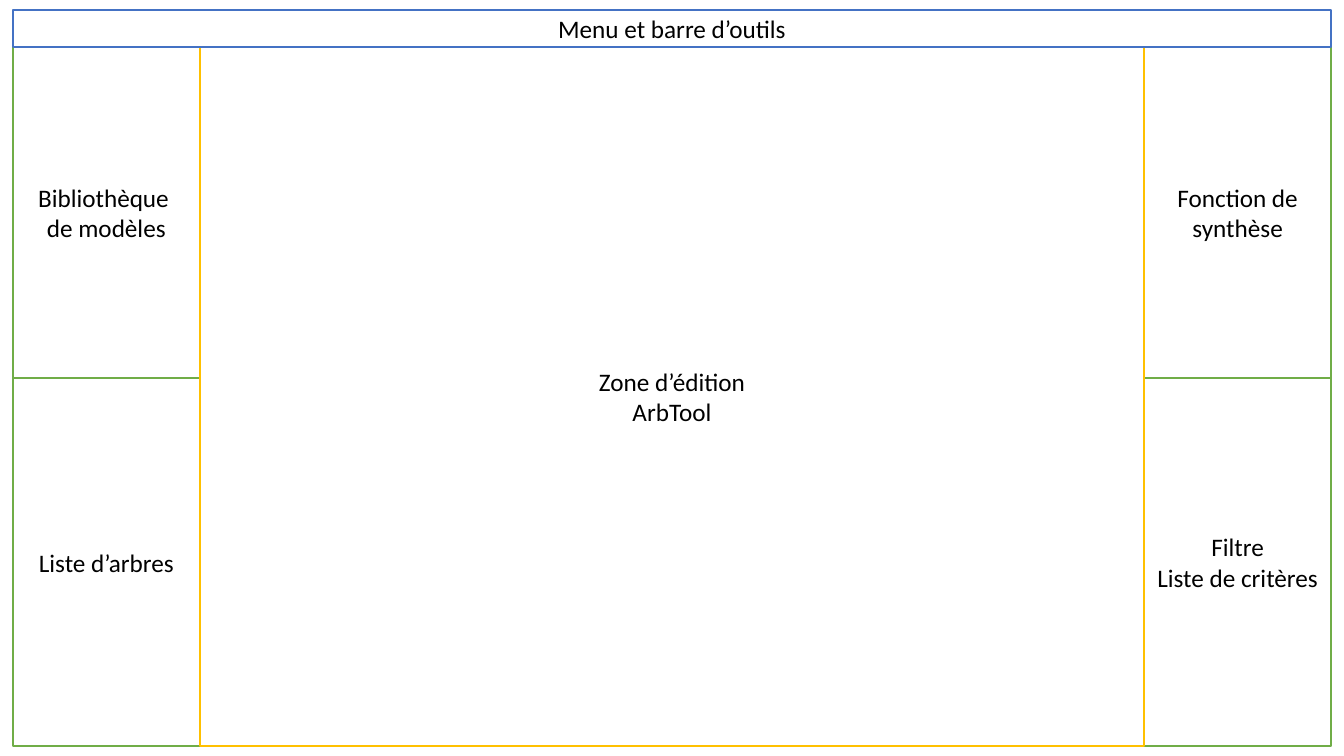
from dataclasses import dataclass

from pptx import Presentation
from pptx.dml.color import RGBColor as Rgb
from pptx.enum.shapes import MSO_SHAPE as Kind
from pptx.enum.text import MSO_ANCHOR as Anchor, PP_ALIGN as Align
from pptx.util import Inches, Pt


@dataclass(frozen=True)
class Theme:
    """Colours, type and line width of the slide."""
    paper: str = "FFFFFF"
    ink: str = "000000"
    menu: str = "4472C4"
    side: str = "70AD47"
    edit: str = "FFC000"
    font: str = "Calibri"
    size: int = 18
    line: float = 1.5


THEME = Theme()
WIDE, HIGH = 13.33, 7.5
EDGE, SIDE = 0.13, 1.85
# Grid lines, in inches: three columns and three rows
COLS = (EDGE, EDGE + SIDE, WIDE - EDGE - SIDE, WIDE - EDGE)
ROWS = (0.1, 0.47, 3.75, 7.4)


def format_all(item, values):
    """Set each attribute of item from a dict of format values."""
    for name, value in values.items():
        setattr(item, name, value)


def write(shape, text):
    """Write centred text, one paragraph for each line."""
    frame = shape.text_frame
    frame.text = text
    format_all(frame, {"word_wrap": True, "vertical_anchor": Anchor.MIDDLE})
    for para in frame.paragraphs:
        para.alignment = Align.CENTER
        for run in para.runs:
            format_all(run.font, {"name": THEME.font, "size": Pt(THEME.size)})
            run.font.color.rgb = Rgb.from_string(THEME.ink)


def add_pane(slide, cols, rows, hue, text):
    """Draw a pane between two column lines and two row lines."""
    left, right = (COLS[i] for i in cols)
    top, base = (ROWS[i] for i in rows)
    box = (left, top, right - left, base - top)
    pane = slide.shapes.add_shape(Kind.RECTANGLE, *map(Inches, box))
    pane.shadow.inherit = False
    pane.fill.solid()
    pane.fill.fore_color.rgb = Rgb.from_string(THEME.paper)
    pane.line.color.rgb = Rgb.from_string(hue)
    pane.line.width = Pt(THEME.line)
    write(pane, text)


def main():
    """Build the window layout and save it."""
    deck = Presentation()
    format_all(deck, {"slide_width": Inches(WIDE),
                      "slide_height": Inches(HIGH)})
    slide = deck.slides.add_slide(deck.slide_layouts[6])
    panes = (
        ((0, 1), (1, 2), THEME.side, "Bibliothèque \nde modèles"),
        ((0, 1), (2, 3), THEME.side, "Liste d’arbres"),
        ((2, 3), (1, 2), THEME.side, "Fonction de synthèse"),
        ((2, 3), (2, 3), THEME.side, "Filtre\nListe de critères"),
        ((1, 2), (1, 3), THEME.edit, "Zone d’édition\nArbTool"),
        ((0, 3), (0, 1), THEME.menu, "Menu et barre d’outils"),
    )
    for pane in panes:
        add_pane(slide, *pane)
    deck.save("out.pptx")


main()
